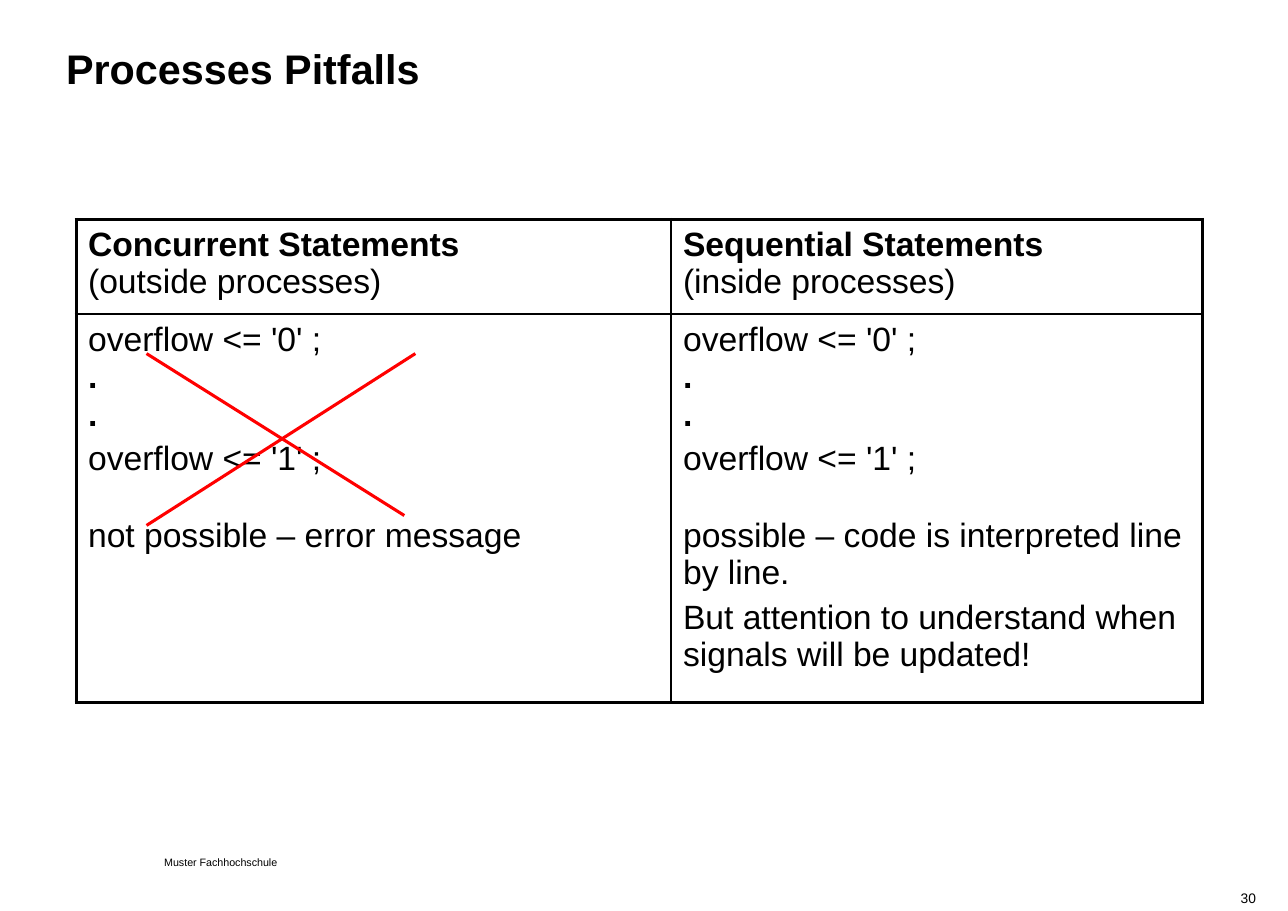
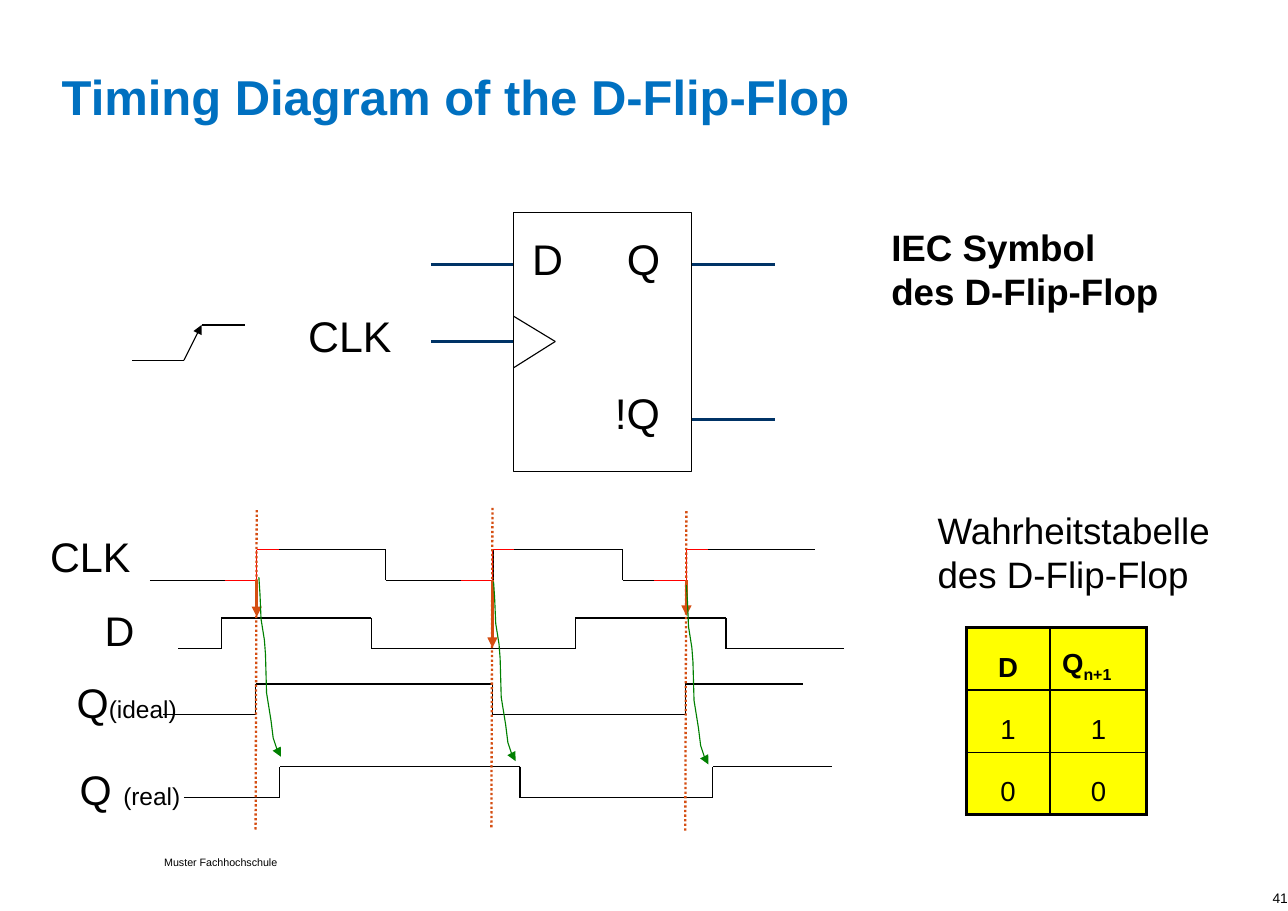
"""Build two slides on processes and the D flip-flop."""
from dataclasses import dataclass
from itertools import pairwise
from typing import Optional, Sequence

from lxml import etree
from pptx import Presentation
from pptx.dml.color import RGBColor
from pptx.enum.dml import MSO_LINE
from pptx.enum.shapes import MSO_CONNECTOR, MSO_SHAPE
from pptx.enum.text import MSO_ANCHOR, MSO_AUTO_SIZE, PP_ALIGN
from pptx.oxml.ns import qn
from pptx.slide import Slide
from pptx.util import Inches, Pt

LEFT, MID, RIGHT = PP_ALIGN.LEFT, PP_ALIGN.CENTER, PP_ALIGN.RIGHT
TOP, CENTER = MSO_ANCHOR.TOP, MSO_ANCHOR.MIDDLE
STRAIGHT, RECT, DOTS = MSO_CONNECTOR.STRAIGHT, MSO_SHAPE.RECTANGLE, MSO_LINE.ROUND_DOT
FONT = "Arial"
HEX = {"black": "000000", "blue": "0070C0", "navy": "003366", "red": "FF0000",
       "orange": "D54E12", "green": "008000", "yellow": "FFFF00"}
PAD = (0.11, 0.06)
Point = tuple[float, float]
Box = tuple[float, float, float, float]


@dataclass
class Run:
    text: str
    size: float
    bold: bool = False
    color: str = "black"
    sub: bool = False


@dataclass
class Para:
    runs: Sequence[Run]
    align: PP_ALIGN = LEFT
    gap: float = 0
    pitch: Optional[float] = None


@dataclass
class Label:
    box: Box
    runs: Sequence[Run]
    align: PP_ALIGN = MID


@dataclass
class Pen:
    color: str = "black"
    width: float = 0.75
    arrow: bool = False
    dots: bool = False


@dataclass
class Wave:
    low: float
    turns: Sequence[float]


THIN, WIRE = Pen(), Pen("navy", 2)


def tint(name: str) -> RGBColor:
    return RGBColor.from_string(HEX[name])


def write(frame, paras: Sequence[Para]) -> None:
    for i, para in enumerate(paras):
        p = frame.add_paragraph() if i else frame.paragraphs[0]
        p.alignment = para.align
        p.space_before = Pt(para.gap)
        if para.pitch:
            p.line_spacing = Pt(para.pitch)
        for run in para.runs:
            for j, part in enumerate(run.text.split("\n")):
                if j:
                    p.add_line_break()
                if not part:
                    continue
                r = p.add_run()
                r.text = part
                font = r.font
                font.name, font.size, font.bold = FONT, Pt(run.size), run.bold
                font.color.rgb = tint(run.color)
                if run.sub:
                    r._r.get_or_add_rPr().set("baseline", "-25000")


def fit(frame, pad: Point, anchor: MSO_ANCHOR = TOP) -> None:
    frame.word_wrap = True
    frame.auto_size = MSO_AUTO_SIZE.NONE
    frame.vertical_anchor = anchor
    frame.margin_left = frame.margin_right = Inches(pad[0])
    frame.margin_top = frame.margin_bottom = Inches(pad[1])


def put(slide: Slide, box: Box, para: Para, pad: Point = PAD,
        anchor: MSO_ANCHOR = TOP) -> None:
    frame = slide.shapes.add_textbox(*map(Inches, box)).text_frame
    fit(frame, pad, anchor)
    write(frame, [para])


def ink(shape, pen: Pen) -> None:
    line = shape.line
    line.color.rgb = tint(pen.color)
    line.width = Pt(pen.width)
    if pen.dots:
        line.dash_style = DOTS
    if pen.arrow:
        etree.SubElement(line._get_or_add_ln(), qn("a:tailEnd"), type="triangle")


def trace(slide: Slide, points: Sequence[Point], pen: Pen = THIN) -> None:
    for start, end in pairwise(points):
        line = slide.shapes.add_connector(STRAIGHT, *map(Inches, start + end))
        ink(line, pen)
        etree.SubElement(line._element.spPr, qn("a:effectLst"))


def bend(slide: Slide, points: Sequence[Point], pen: Pen) -> None:
    first, *rest = [(Inches(x), Inches(y)) for x, y in points]
    path = slide.shapes.build_freeform(*first)
    path.add_line_segments(rest, close=False)
    shape = path.convert_to_shape()
    shape.fill.background()
    shape.shadow.inherit = False
    ink(shape, pen)


def pulse(slide: Slide, wave: Wave, rise: float) -> None:
    points = []
    for i, (a, b) in enumerate(pairwise(wave.turns)):
        y = wave.low - rise * (i % 2)
        points += [(a, y), (b, y)]
    trace(slide, points)


def edge(cell, side: str, width: float) -> None:
    line = etree.SubElement(cell._tc.get_or_add_tcPr(), qn(f"a:ln{side}"), w=str(Pt(width)))
    fill = etree.SubElement(line, qn("a:solidFill"))
    etree.SubElement(fill, qn("a:srgbClr"), val=HEX["black"])


def grid(slide: Slide, spot: Point, cols: Sequence[float], rows: Sequence[float],
         cells: Sequence[Sequence[Sequence[Para]]], fill: Optional[str] = None) -> None:
    size = (sum(cols), sum(rows))
    table = slide.shapes.add_table(len(rows), len(cols), *map(Inches, spot + size)).table
    table.first_row = table.horz_banding = False
    for col, width in zip(table.columns, cols):
        col.width = Inches(width)
    for r, height in enumerate(rows):
        table.rows[r].height = Inches(height)
        for c, paras in enumerate(cells[r]):
            cell = table.cell(r, c)
            cell.margin_left = cell.margin_right = Inches(PAD[0])
            cell.margin_top = cell.margin_bottom = Inches(PAD[1])
            rims = {"L": c == 0, "R": c == len(cols) - 1,
                    "T": r == 0, "B": r == len(rows) - 1}
            for side, rim in rims.items():
                edge(cell, side, 2.25 if rim else 1)
            if fill:
                cell.fill.solid()
                cell.fill.fore_color.rgb = tint(fill)
            else:
                cell.fill.background()
            write(cell.text_frame, paras)


def start(deck, box: Box, head: Run, page: str, left: float) -> Slide:
    slide = deck.slides.add_slide(deck.slide_layouts[5])
    title = slide.shapes.title
    title.left, title.top, title.width, title.height = map(Inches, box)
    fit(title.text_frame, (0, 0))
    write(title.text_frame, [Para([head], pitch=32)])
    put(slide, (1.49, 7.79, 1.32, 0.1),
        Para([Run("Muster Fachhochschule", 7)], pitch=7), (0, 0))
    put(slide, (left, 8.05, 1.33, 0.21), Para([Run(page, 9)], RIGHT), (0, 0), CENTER)
    return slide


def code(*notes: str) -> list[Para]:
    first = Para([Run("overflow <= '0' ;\n", 22), Run(".\n.", 22, True)])
    last = Para([Run("overflow <= '1' ;", 22)], gap=4.4)
    gaps = (25.3, 4.4)
    return [first, last] + [Para([Run(n, 22)], gap=g) for n, g in zip(notes, gaps)]


def pitfalls(deck) -> None:
    slide = start(deck, (0.6, 0.4, 9.67, 0.87), Run("Processes Pitfalls", 27, True),
                  "30", 10.07)
    heads = [("Concurrent", "outside"), ("Sequential", "inside")]
    top = [[Para([Run(f"{kind} Statements\n", 22, True), Run(f"({side} processes)", 22)])]
           for kind, side in heads]
    body = [code("not possible – error message"),
            code("possible – code is interpreted line by line.",
                 "But attention to understand when signals will be updated!")]
    grid(slide, (0.69, 1.99), (5.4, 4.82), (0.86, 3.53), [top, body])
    cross = Pen("red", 2)
    trace(slide, [(1.33, 3.21), (3.67, 4.68)], cross)
    trace(slide, [(1.33, 4.77), (3.77, 3.21)], cross)


def symbol(slide: Slide) -> None:
    case = slide.shapes.add_shape(RECT, *map(Inches, (4.66, 1.93, 1.62, 2.35)))
    case.fill.background()
    case.shadow.inherit = False
    ink(case, THIN)
    for x, y in [(3.91, 2.4), (3.91, 3.1), (6.28, 2.4), (6.28, 3.81)]:
        trace(slide, [(x, y), (x + 0.75, y)], WIRE)
    trace(slide, [(4.66, 2.87), (5.04, 3.1), (4.66, 3.34)])
    trace(slide, [(1.2, 3.27), (1.67, 3.27)])
    trace(slide, [(1.67, 3.27), (1.83, 2.95)], Pen(arrow=True))
    trace(slide, [(1.83, 2.95), (2.22, 2.95)])


def timing(slide: Slide) -> None:
    rise, base = 0.28, 5.27
    waves = [Wave(base, (1.36, 2.33, 3.5, 4.48, 5.65, 6.23, 7.4)),
             Wave(5.89, (1.62, 2.01, 3.37, 5.22, 6.59, 7.66)),
             Wave(6.49, (1.48, 2.32, 4.47, 6.22, 7.29)),
             Wave(7.24, (1.67, 2.54, 4.72, 6.47, 7.55))]
    for wave in waves:
        pulse(slide, wave, rise)
    curve = [(0, 0), (0.01, 0.15), (0.02, 0.38), (0.05, 0.57), (0.06, 0.7), (0.07, 1.05),
             (0.11, 1.3), (0.13, 1.46), (0.16, 1.55), (0.18, 1.61), (0.2, 1.63)]
    clocks = [(2.33, 4.63, 5.6, (2.35, 5.24)), (4.47, 4.61, 5.88, (4.48, 5.28)),
              (6.23, 4.64, 5.59, (6.23, 5.31))]
    for x, top, tip, (left, head) in clocks:
        trace(slide, [(x - 0.29, base), (x, base), (x, base - rise),
                      (x + 0.2, base - rise)], Pen("red"))
        trace(slide, [(x, base), (x, tip)], Pen("orange", 2.25, arrow=True))
        trace(slide, [(x, top), (x - 0.01, top + 2.91)], Pen("orange", 1.5, dots=True))
        bend(slide, [(left + dx, head + dy) for dx, dy in curve], Pen("green", arrow=True))


def flipflop(deck) -> None:
    slide = start(deck, (0.56, 0.69, 8.27, 0.78),
                  Run("Timing Diagram of the D-Flip-Flop", 32, True, "blue"), "41", 10.36)
    symbol(slide)
    timing(slide)
    labels = [
        Label((7.98, 1.98, 2.8, 0.92), [Run("IEC Symbol\ndes D-Flip-Flop", 24, True)], LEFT),
        Label((8.4, 4.55, 2.9, 0.92), [Run("Wahrheitstabelle\ndes D-Flip-Flop", 24)], LEFT),
        Label((2.3, 2.75, 1.75, 0.58), [Run("CLK", 28)]),
        Label((4.66, 2.05, 0.62, 0.58), [Run("D", 28)]),
        Label((5.53, 2.05, 0.62, 0.58), [Run("Q", 28)]),
        Label((5.16, 3.45, 1.25, 0.58), [Run("!Q", 28)]),
        Label((0.18, 4.76, 1.28, 0.56), [Run("CLK", 27)]),
        Label((0.84, 5.43, 0.49, 0.56), [Run("D", 27)]),
        Label((0.49, 6.09, 1.32, 0.57), [Run("Q", 27), Run("(ideal)", 16)]),
        Label((0.51, 6.88, 1.34, 0.57), [Run("Q ", 27), Run("(real)", 16)]),
    ]
    for label in labels:
        put(slide, label.box, Para(label.runs, label.align))
    head = [[Para([Run("D", 18, True)], MID, pitch=32)],
            [Para([Run("Q", 18, True), Run("n+1", 18, True, sub=True)], pitch=32)]]
    body = [[[Para([Run(bit, 18)], MID, pitch=32)]] * 2 for bit in "10"]
    grid(slide, (8.77, 5.7), (0.76, 0.88), (0.56,) * 3, [head, *body], "yellow")


def main() -> None:
    deck = Presentation()
    deck.slide_width, deck.slide_height = Inches(11.69), Inches(8.27)
    pitfalls(deck)
    flipflop(deck)
    deck.save("out.pptx")


main()
